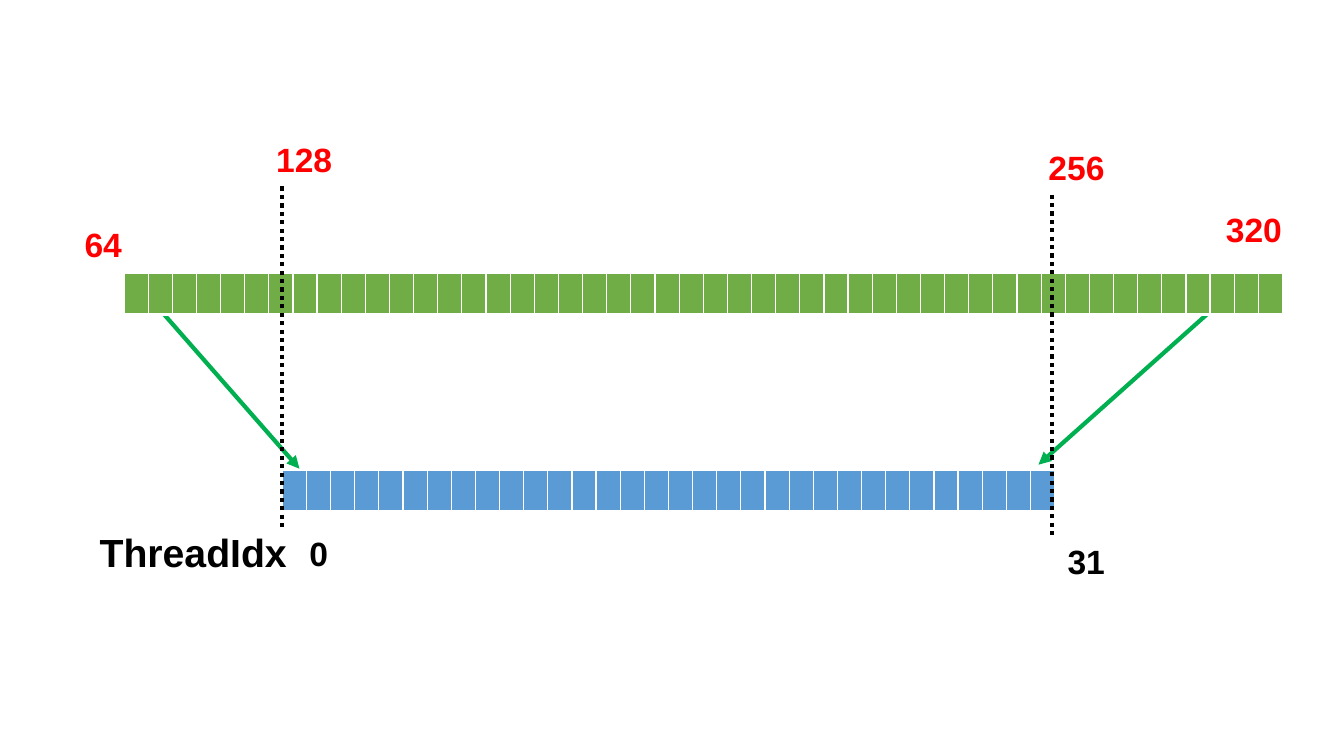
from lxml.etree import SubElement as Sub
from pptx import Presentation
from pptx.dml.color import RGBColor as RGB
from pptx.enum.dml import MSO_LINE as Dash
from pptx.enum.shapes import MSO_CONNECTOR as Link
from pptx.enum.text import MSO_AUTO_SIZE as Auto
from pptx.oxml import parse_xml
from pptx.oxml.ns import nsdecls, qn
from pptx.util import Inches, Pt

HUES = {"data": "70AD47", "thread": "5B9BD5", "arrow": "00B050",
        "index": "FF0000", "ink": "000000", "rule": "FFFFFF"}
EDGES = {"L": 1, "R": 1, "T": 1, "B": 3}

# Boxes in inches: left, top, width, height
DATA = (1.23, 2.71, 11.14, 0.41)
THREAD = (2.8, 4.67, 7.63, 0.41)


def add_line(slide, start, end, hue):
    line = slide.shapes.add_connector(
        Link.STRAIGHT, *(Inches(v) for v in start + end))
    line.line.color.rgb = RGB.from_string(HUES[hue])
    line.line.width = Pt(3)
    Sub(line._element.spPr, qn("a:effectLst"))
    return line.line


def add_label(slide, text, box, hue, size=24):
    frame = slide.shapes.add_textbox(*(Inches(v) for v in box)).text_frame
    frame.word_wrap = True
    frame.auto_size = Auto.SHAPE_TO_FIT_TEXT
    para = frame.paragraphs[0]
    para.text = text
    font = para.font
    font.name, font.size, font.bold = "Arial", Pt(size), True
    font.color.rgb = RGB.from_string(HUES[hue])


def add_cells(slide, box, count, hue):
    """One row of equal cells that fills the box."""
    table = slide.shapes.add_table(1, count, *(Inches(v) for v in box)).table
    for col in table.columns:
        col.width = Inches(box[2] / count)
    for cell in table.iter_cells():
        props = cell._tc.get_or_add_tcPr()
        for side, width in EDGES.items():
            props.append(parse_xml(
                f'<a:ln{side} {nsdecls("a")} w="{Pt(width)}"><a:solidFill>'
                f'<a:srgbClr val="{HUES["rule"]}"/></a:solidFill></a:ln{side}>'))
        cell.fill.solid()
        cell.fill.fore_color.rgb = RGB.from_string(HUES[hue])


def add_arrows(slide, box):
    """Arrows from the data row down to both ends of the thread row."""
    left, top, width, _ = box
    right = left + width
    for start, end in (((left - 1.47, top - 1.89), (left + 0.17, top - 0.02)),
                       ((right + 1.55, top - 1.56), (right - 0.13, top - 0.06))):
        line = add_line(slide, start, end, "arrow")
        Sub(line._get_or_add_ln(), qn("a:tailEnd"), type="triangle")


def add_bounds(slide, box):
    """Dotted bounds at both ends of the box, with index and thread labels."""
    left, top, width, _ = box
    right = left + width
    for x, y in ((left, top - 2.82), (right, top - 2.74)):
        add_line(slide, (x, y), (x, y + 3.39), "ink").dash_style = Dash.ROUND_DOT
    add_label(slide, "128", (left - 0.16, top - 3.34, 1.18, 0.5), "index")
    add_label(slide, "256", (right - 0.13, top - 3.26, 1.18, 0.5), "index")
    add_label(slide, "ThreadIdx", (left - 1.91, top + 0.52, 2.4, 0.57), "ink", 28)
    add_label(slide, "0", (left + 0.17, top + 0.57, 0.23, 0.5), "ink")
    add_label(slide, "31", (right + 0.06, top + 0.65, 0.63, 0.5), "ink")


def add_ends(slide, box):
    """Index labels at the outer ends of the data row."""
    left, top, width, _ = box
    add_label(slide, "64", (left - 0.49, top - 0.54, 1.18, 0.5), "index")
    add_label(slide, "320", (left + width - 0.31, top - 0.69, 1.18, 0.5), "index")


def main():
    deck = Presentation()
    deck.slide_width, deck.slide_height = Inches(13.33), Inches(7.5)
    slide = deck.slides.add_slide(deck.slide_layouts[6])
    add_cells(slide, THREAD, 32, "thread")
    add_arrows(slide, THREAD)
    add_cells(slide, DATA, 48, "data")
    add_bounds(slide, THREAD)
    add_ends(slide, DATA)
    deck.save("out.pptx")


if __name__ == "__main__":
    main()
